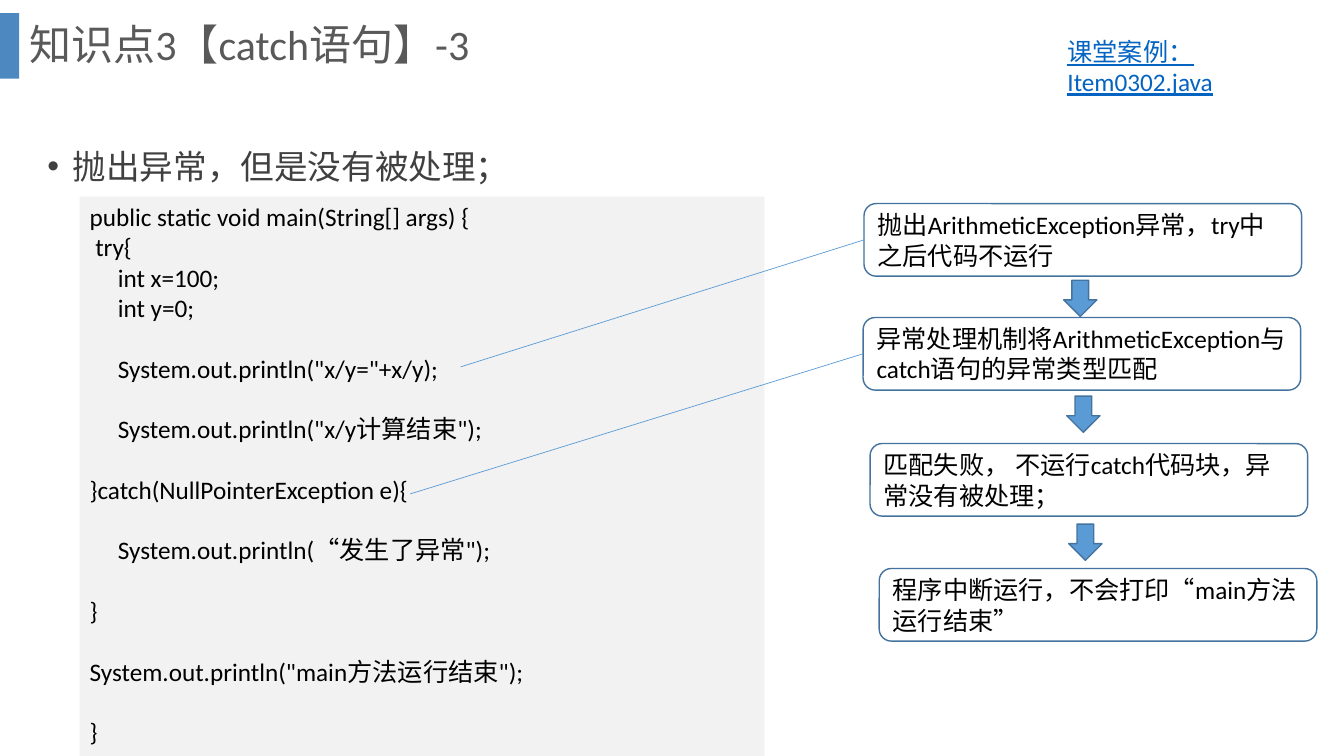
from dataclasses import dataclass
from lxml import etree
from pptx import Presentation
from pptx import util as u
from pptx.dml.color import RGBColor
from pptx.enum import shapes, text
from pptx.oxml.ns import qn


@dataclass(frozen=True)
class Theme:
    latin: str = "Calibri"
    east: str = "Noto Sans CJK SC"
    title: str = "595959"
    body: str = "404040"
    ink: str = "000000"
    link: str = "0563C1"
    stripe: str = "2E75B6"
    panel: str = "F2F2F2"
    accent: str = "5B9BD5"
    edge: str = "43739E"
    title_pt: int = 30
    body_pt: int = 24
    text_pt: int = 18


th = Theme()
W, H = u.Inches(13.33), u.Inches(7.5)


def at(x, y, *size):
    """Percent shares of the slide's width and height, as lengths."""
    return [u.Emu(round(v * full / 100)) for v, full in zip((x, y, *size), (W, H, W, H))]


def write(tf, value, size=th.text_pt, color=th.ink, anchor=text.MSO_ANCHOR.TOP, line=1.0,
          before=0, indent=0, hang=0, underline=False, add=False):
    tf.word_wrap = True
    tf.auto_size = text.MSO_AUTO_SIZE.NONE
    tf.vertical_anchor = anchor
    p = tf.add_paragraph() if add else tf.paragraphs[0]
    p.alignment = text.PP_ALIGN.LEFT
    p.line_spacing, p.space_before = line, u.Pt(before)
    pPr = p._p.get_or_add_pPr()
    pPr.set("marL", str(u.Inches(indent)))
    pPr.set("indent", str(u.Inches(-hang)))
    r = p.add_run()
    r.text = value
    r.font.size, r.font.name, r.font.underline = u.Pt(size), th.latin, underline
    r.font.color.rgb = RGBColor.from_string(color)
    r.font._element.find(qn("a:latin")).addnext(
        etree.Element(qn("a:ea"), typeface=th.east))


prs = Presentation()
prs.slide_width, prs.slide_height = W, H
s = prs.slides.add_slide(prs.slide_layouts[1])

# Title and bullet
title, body = s.placeholders
title.left, title.top, title.width, title.height = at(1.43, 0, 94.97, 12.4)
write(title.text_frame, "知识点3【catch语句】-3", size=th.title_pt, color=th.title,
      anchor=text.MSO_ANCHOR.MIDDLE, line=0.9)
body.left, body.top, body.width, body.height = at(2.78, 16, 90.4, 13.73)
write(body.text_frame, "抛出异常，但是没有被处理；", size=th.body_pt, color=th.body,
      line=1.5, before=10, indent=0.25, hang=0.25)

# Stripe, code panel, step boxes and down arrows
RECT, ROUND, DOWN = (shapes.MSO_SHAPE.RECTANGLE, shapes.MSO_SHAPE.ROUNDED_RECTANGLE,
                     shapes.MSO_SHAPE.DOWN_ARROW)
steps = [
    (64.29, 26.93, "抛出ArithmeticException异常，try中之后代码不运行"),
    (64.22, 42, "异常处理机制将ArithmeticException与catch语句的异常类型匹配"),
    (64.74, 58.67, "匹配失败， 不运行catch代码块，异常没有被处理；"),
    (65.42, 75.2, "程序中断运行，不会打印“main方法运行结束”"),
]
arrows = [(79.14, 37.07), (79.37, 52.4), (79.52, 69.33)]
parts = [(RECT, (0, 1.73, 1.43, 8.67), th.stripe, None),
         (RECT, (5.93, 26, 50.94, 74), th.panel, None)]
parts += [(ROUND, (x, y, 32.56, 9.6), None, th.edge) for x, y, _ in steps]
parts += [(DOWN, (x, y, 2.48, 4.8), th.accent, th.edge) for x, y in arrows]
drawn = []
for kind, place, fill, edge in parts:
    sp = s.shapes.add_shape(kind, *at(*place))
    sp.shadow.inherit = False
    if fill:
        sp.fill.solid()
        sp.fill.fore_color.rgb = RGBColor.from_string(fill)
    else:
        sp.fill.background()
    if edge:
        sp.line.color.rgb = RGBColor.from_string(edge)
        sp.line.width = u.Pt(1)
    else:
        sp.line.fill.background()
    drawn.append(sp)
stripe, panel, *rest = drawn
boxes = rest[:len(steps)]
etree.SubElement(stripe._element.spPr.find(".//" + qn("a:srgbClr")), qn("a:alpha"), val="85000")

# Code: text, leading spaces, one free line above
code = [
    ("public static void main(String[] args) {", 0, False),
    ("try{", 1, False),
    ("int x=100;", 5, False),
    ("int y=0;", 5, False),
    ('System.out.println("x/y="+x/y);', 5, True),
    ('System.out.println("x/y计算结束");', 5, True),
    ("}catch(NullPointerException e){", 0, True),
    ('System.out.println(“发生了异常");', 5, True),
    ("}", 0, True),
    ('System.out.println("main方法运行结束");', 0, True),
    ("}", 0, True),
]
for i, (value, spaces, gap) in enumerate(code):
    write(panel.text_frame, value, indent=spaces * 0.056, before=21.7 if gap else 0, add=i > 0)

# Step texts
for sp, (_, _, value) in zip(boxes, steps):
    write(sp.text_frame, value, anchor=text.MSO_ANCHOR.MIDDLE)

# Lines from the code to the first two steps
for start, sp in zip([(34.28, 48.53), (30.53, 65.33)], boxes):
    cx = s.shapes.add_connector(shapes.MSO_CONNECTOR.STRAIGHT, *at(*start), sp.left, sp.top)
    cx.end_connect(sp, 1)
    cx.line.color.rgb = RGBColor.from_string(th.accent)
    cx.line.width = u.Pt(0.5)
    etree.SubElement(cx._element.spPr, qn("a:effectLst"))

# Case label
label = s.shapes.add_textbox(*at(78.69, 4.13, 17.1, 9.47))
write(label.text_frame, "课堂案例：Item0302.java", color=th.link, underline=True)

prs.save("out.pptx")
